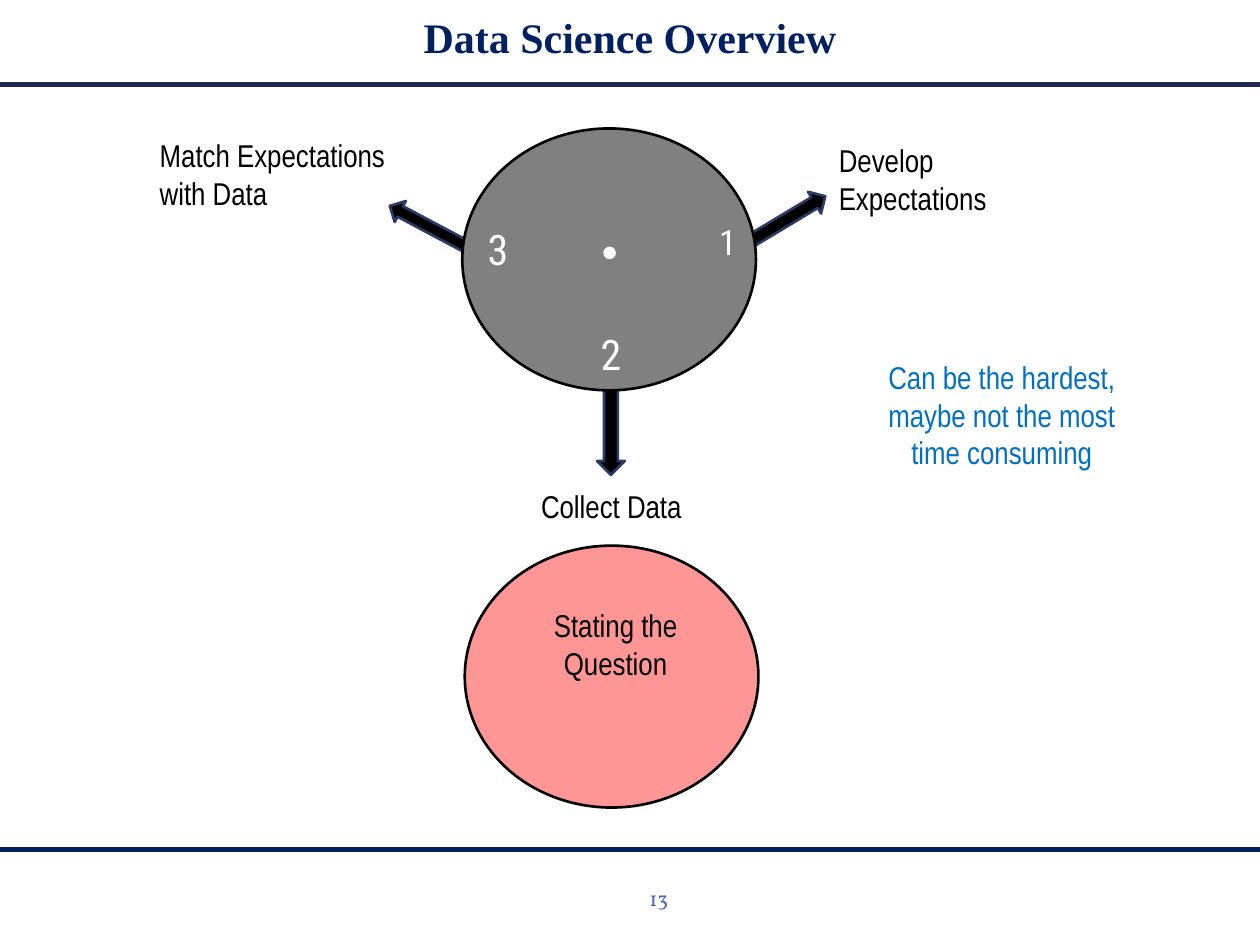
from lxml.etree import SubElement
from pptx import Presentation
from pptx.dml.color import RGBColor
from pptx.enum.shapes import MSO_CONNECTOR, MSO_SHAPE
from pptx.enum.text import MSO_ANCHOR, PP_ALIGN
from pptx.oxml.ns import qn
from pptx.util import Cm, Pt

COLORS = {
    "navy": "002060",
    "rule": "242852",
    "arrow_edge": "2C3C65",
    "black": "000000",
    "white": "FFFFFF",
    "gray": "808080",
    "red": "FF0000",
    "blue": "0070C0",
    "number": "4A66AC",
}


def add_filled(kind, box, fill, line):
    shape = slide.shapes.add_shape(kind, *[Cm(length) for length in box])
    shape.shadow.inherit = False
    shape.fill.solid()
    shape.fill.fore_color.rgb = RGBColor.from_string(COLORS[fill])
    shape.line.color.rgb = RGBColor.from_string(COLORS[line])
    shape.line.width = Pt(1.5)
    return shape


def add_text(text, box, size, font, color, align=PP_ALIGN.LEFT, anchor=MSO_ANCHOR.TOP):
    frame = slide.shapes.add_textbox(*[Cm(length) for length in box]).text_frame
    frame.word_wrap = True
    frame.vertical_anchor = anchor
    paragraph = frame.paragraphs[0]
    paragraph.text = text
    paragraph.alignment = align
    paragraph.font.size = Pt(size)
    paragraph.font.name = font
    paragraph.font.color.rgb = RGBColor.from_string(COLORS[color])
    return paragraph


presentation = Presentation()
presentation.slide_width = Cm(25.4)
presentation.slide_height = Cm(19.05)
slide = presentation.slides.add_slide(presentation.slide_layouts[6])

for top, color in [(17.12, "navy"), (1.7, "rule")]:
    connector = slide.shapes.add_connector(
        MSO_CONNECTOR.STRAIGHT, Cm(0), Cm(top), Cm(25.4), Cm(top)
    )
    connector.line.color.rgb = RGBColor.from_string(COLORS[color])
    connector.line.width = Pt(3)
    SubElement(connector._element.spPr, qn("a:effectLst"))

for left, top, height, rotation in [
    (14.94, 4.17, 0.51, 329),
    (11.4, 8.38, 0.56, 90),
    (7.75, 4.34, 0.48, 208),
]:
    arrow = add_filled(
        MSO_SHAPE.RIGHT_ARROW, (left, top, 1.83, height), "black", "arrow_edge"
    )
    arrow.rotation = rotation

add_filled(MSO_SHAPE.OVAL, (9.32, 2.59, 5.92, 5.28), "gray", "black")
add_filled(MSO_SHAPE.OVAL, (12.19, 5, 0.2, 0.2), "white", "white")
question = add_filled(MSO_SHAPE.OVAL, (9.37, 11, 5.92, 5.28), "red", "black")
red = question.fill._xPr.find(qn("a:solidFill")).find(qn("a:srgbClr"))
SubElement(red, qn("a:alpha"), val="41000")

title = add_text(
    "Data Science Overview", (1.75, 0.05, 21.9, 1.52), 24, "Times New Roman",
    "navy", PP_ALIGN.CENTER, MSO_ANCHOR.MIDDLE,
)
title.font.bold = True
title.line_spacing = 0.9
add_text(
    "13", (8, 17.6, 5.72, 1.02), 12, "Vollkorn", "number",
    PP_ALIGN.RIGHT, MSO_ANCHOR.MIDDLE,
)

for digit, left, top, size in [
    ("1", 14.25, 4.32, 20),
    ("2", 11.86, 6.5, 24),
    ("3", 9.58, 4.39, 24),
]:
    add_text(digit, (left, top, 0.64, 1.2), size, "Roboto Condensed", "white")

for text, box, color, align in [
    ("Develop Expectations", (16.66, 2.72, 5.23, 1.02), "black", PP_ALIGN.LEFT),
    ("Collect Data", (9.3, 9.7, 6.05, 1.02), "black", PP_ALIGN.CENTER),
    ("Match Expectations with Data", (2.97, 2.62, 5.28, 1.8), "black", PP_ALIGN.LEFT),
    ("Stating the Question", (10.72, 12.09, 3.38, 1.8), "black", PP_ALIGN.CENTER),
    (
        "Can be the hardest, maybe not the most time consuming",
        (17.58, 7.09, 5.23, 2.57), "blue", PP_ALIGN.CENTER,
    ),
]:
    add_text(text, box, 18, "Arial Narrow", color, align)

presentation.save("out.pptx")
